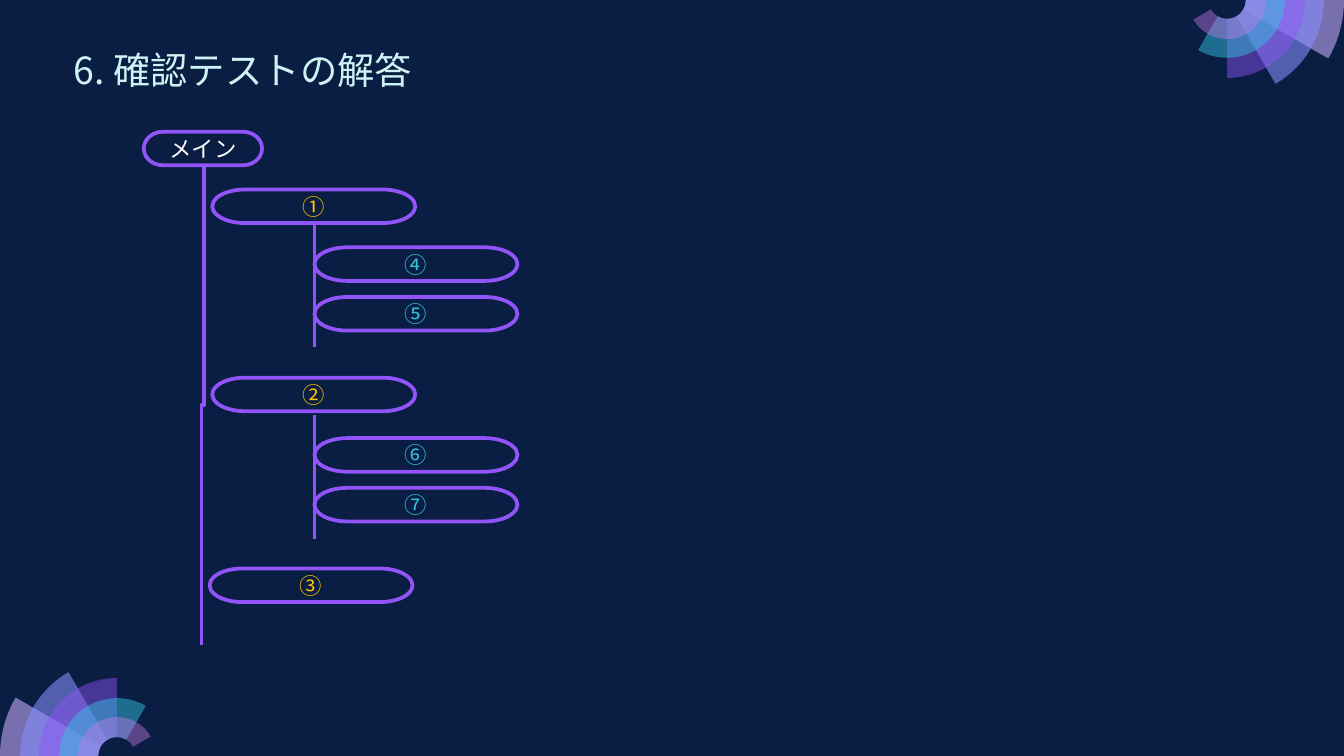
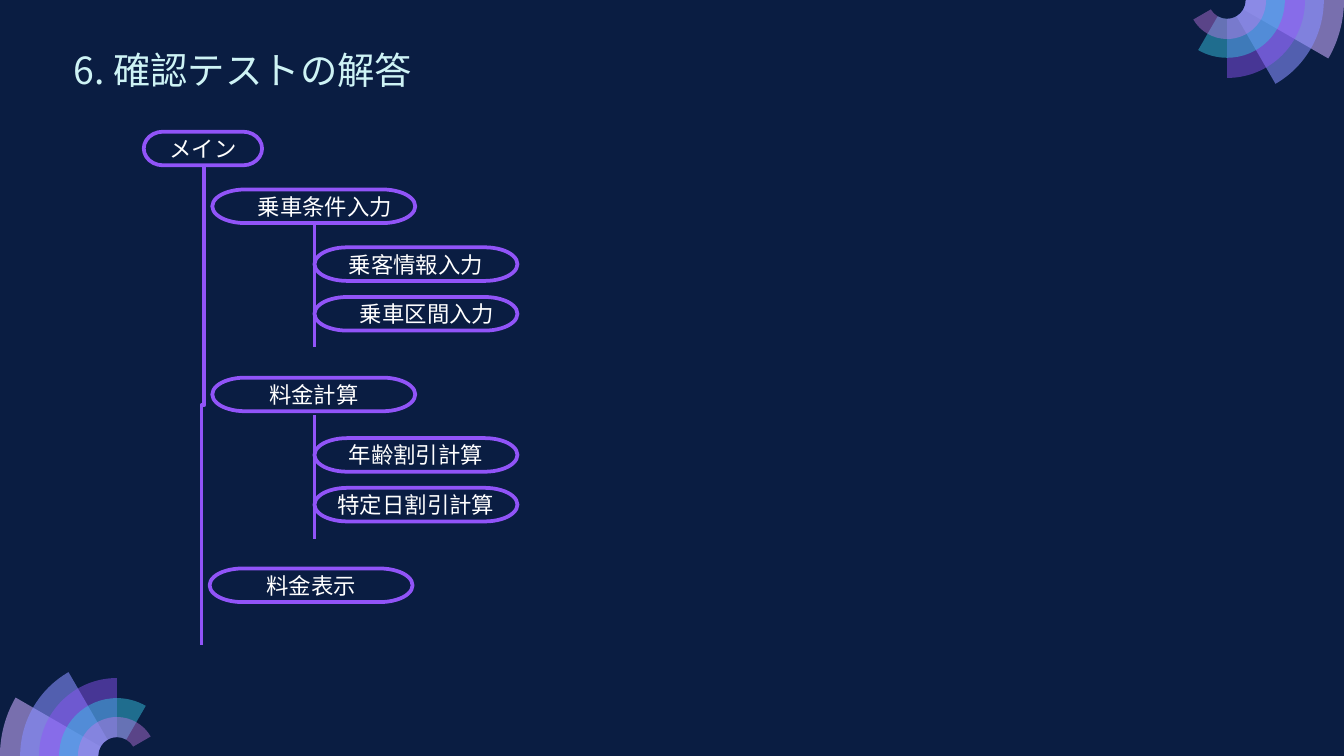
from math import cos, radians, sin, tan

from lxml import etree
from pptx import Presentation
from pptx.dml.color import RGBColor
from pptx.enum.shapes import MSO_CONNECTOR, MSO_SHAPE
from pptx.enum.text import MSO_ANCHOR, MSO_AUTO_SIZE, PP_ALIGN
from pptx.oxml.ns import qn
from pptx.util import Inches, Pt

SLIDE_WIDTH = Inches(10)
SLIDE_HEIGHT = SLIDE_WIDTH * 9 // 16
FONT = "Noto Sans CJK JP"
NAVY, PURPLE, MINT = "0A1D42", "9154F8", "CEF3F5"
WHITE, AMBER, CYAN = "FFFFFF", "FFC000", "35C2DF"

TITLE = "6. 確認テストの解答"
ROOT = "メイン"
# Each slide: step colour, sub-step colour, tree of steps and sub-steps
SLIDES = [
    (AMBER, CYAN, [("①", ["④", "⑤"]), ("②", ["⑥", "⑦"]), ("③", [])]),
    (WHITE, WHITE, [
        ("　乗車条件入力", ["乗客情報入力", "　乗車区間入力"]),
        ("料金計算", ["年齢割引計算", "特定日割引計算"]),
        ("料金表示", []),
    ]),
]

# Inches: step left and top, top of its branch line, top of its first sub-step
STEP_PLACES = [
    (1.58, 1.41, 1.66, 1.84),
    (1.58, 2.81, 3.09, 3.26),
    (1.56, 4.23, None, None),
]
BRANCH_LEFT, BRANCH_LENGTH, SUB_STEP_PITCH = 2.34, 0.92, 0.37
ROOT_WIDTH, STEP_WIDTH, PILL_HEIGHT = 0.88, 1.51, 0.25

# Fan wedges: outer radius in inches, sweep in degrees, colour, opacity in percent
FAN_CENTRE, FAN_INNER_RADIUS = 0.87, 0.14
FAN_WEDGES = [
    (0.87, 30, "C8ACFD", 58),
    (0.72, 60, "878FFF", 58),
    (0.58, 90, PURPLE, 46),
    (0.43, 120, CYAN, 49),
    (0.29, 150, "CA7BEB", 42),
]


def rgb(colour):
    return RGBColor.from_string(colour)


def add_run(paragraph, text, size, colour):
    run = paragraph.add_run()
    run.text = text
    run.font.size = Pt(size)
    run.font.color.rgb = rgb(colour)
    run.font.name = FONT
    east_asian = etree.SubElement(run._r.get_or_add_rPr(), qn("a:ea"))
    east_asian.set("typeface", FONT)


def fan_point(radius, angle, pull=0):
    """Point of the fan, angle clockwise from the left, moved along its tangent by pull."""
    turn = radians(angle)
    return (Inches(FAN_CENTRE + radius * (pull * sin(turn) - cos(turn))),
            SLIDE_HEIGHT - Inches(radius * (sin(turn) + pull * cos(turn))))


def arc(radius, angles):
    """End points of the arc's curves, each with its two control points."""
    nodes = [(fan_point(radius, angles[0]), [])]
    for start, stop in zip(angles, angles[1:]):
        pull = 4 / 3 * tan(radians(stop - start) / 4)
        controls = [fan_point(radius, start, pull), fan_point(radius, stop, -pull)]
        nodes.append((fan_point(radius, stop), controls))
    return nodes


def bend_segments(shape, nodes):
    """Turn the straight segments that have control points into curves."""
    segments = list(shape.element.iter(qn("a:lnTo")))
    for segment, (_, controls) in zip(segments, nodes[1:]):
        if controls:
            segment.tag = qn("a:cubicBezTo")
        for index, (x, y) in enumerate(controls):
            control = etree.Element(qn("a:pt"), x=str(x - shape.left), y=str(y - shape.top))
            segment.insert(index, control)


def add_fan(slide):
    """Draw the bottom left fan as a group."""
    group = slide.shapes.add_group_shape()
    for radius, sweep, colour, opacity in FAN_WEDGES:
        angles = [0, 90, sweep] if sweep > 90 else [0, sweep]
        nodes = arc(radius, angles[::-1]) + arc(FAN_INNER_RADIUS, angles)
        points = [point for point, _ in nodes]
        builder = group.shapes.build_freeform(*points[0])
        builder.add_line_segments(points[1:], close=True)
        wedge = builder.convert_to_shape()
        bend_segments(wedge, nodes)
        wedge.shadow.inherit = False
        wedge.line.fill.background()
        wedge.fill.solid()
        wedge.fill.fore_color.rgb = rgb(colour)
        colour_element = next(wedge.element.spPr.iter(qn("a:srgbClr")))
        alpha = etree.SubElement(colour_element, qn("a:alpha"))
        alpha.set("val", str(opacity * 1000))
    return group


def decorate_layout(layout, slide):
    """Give the layout its background and fans, which are drawn on a slide and moved."""
    layout.background.fill.solid()
    layout.background.fill.fore_color.rgb = rgb(NAVY)
    bottom_fan, top_fan = add_fan(slide), add_fan(slide)
    top_fan.left = SLIDE_WIDTH - top_fan.left - top_fan.width
    top_fan.top = SLIDE_HEIGHT - top_fan.top - top_fan.height
    top_fan.rotation = 180
    for fan in (bottom_fan, top_fan):
        layout.shapes.element.append(fan.element)


def add_title(slide):
    box = slide.shapes.add_textbox(Inches(0.45), Inches(0.3), Inches(2.85), Inches(0.44))
    box.text_frame.word_wrap = True
    box.text_frame.auto_size = MSO_AUTO_SIZE.SHAPE_TO_FIT_TEXT
    add_run(box.text_frame.paragraphs[0], TITLE, 20, MINT)


def add_pill(slide, text, left, top, width, colour):
    pill = slide.shapes.add_shape(
        MSO_SHAPE.FLOWCHART_TERMINATOR,
        Inches(left), Inches(top), Inches(width), Inches(PILL_HEIGHT))
    pill.shadow.inherit = False
    pill.fill.background()
    pill.line.color.rgb = rgb(PURPLE)
    pill.line.width = Pt(2)
    frame = pill.text_frame
    frame.word_wrap = False
    frame.vertical_anchor = MSO_ANCHOR.MIDDLE
    frame.paragraphs[0].alignment = PP_ALIGN.CENTER
    add_run(frame.paragraphs[0], text, 12, colour)


def add_descender(slide, start_x, start_y, end_x, end_y):
    """Draw an elbow that runs down, left and down: a level elbow turned by 90 degrees."""
    length, jog = end_y - start_y, start_x - end_x
    connector = slide.shapes.add_connector(MSO_CONNECTOR.ELBOW, 0, 0, 0, 0)
    connector.left = Inches((start_x + end_x - length) / 2)
    connector.top = Inches((start_y + end_y - jog) / 2)
    connector.width, connector.height = Inches(length), Inches(jog)
    connector.rotation = 90
    connector.line.color.rgb = rgb(PURPLE)
    connector.line.width = Pt(2)
    etree.SubElement(connector.element.spPr, qn("a:effectLst"))


def add_tree(slide, step_colour, sub_step_colour, steps):
    add_pill(slide, ROOT, 1.07, 0.98, ROOT_WIDTH, WHITE)
    add_descender(slide, 1.52, 1.23, 1.5, 4.8)
    for (step, sub_steps), place in zip(steps, STEP_PLACES):
        left, top, branch_top, sub_step_top = place
        add_pill(slide, step, left, top, STEP_WIDTH, step_colour)
        if sub_steps:
            add_descender(slide, BRANCH_LEFT, branch_top,
                          BRANCH_LEFT, branch_top + BRANCH_LENGTH)
        for index, sub_step in enumerate(sub_steps):
            add_pill(slide, sub_step, BRANCH_LEFT, sub_step_top + index * SUB_STEP_PITCH,
                     STEP_WIDTH, sub_step_colour)


def main():
    presentation = Presentation()
    presentation.slide_width, presentation.slide_height = SLIDE_WIDTH, SLIDE_HEIGHT
    layout = presentation.slide_layouts[6]
    slides = [presentation.slides.add_slide(layout) for _ in SLIDES]
    decorate_layout(layout, slides[0])
    for slide, tree in zip(slides, SLIDES):
        add_title(slide)
        add_tree(slide, *tree)
    presentation.save("out.pptx")


if __name__ == "__main__":
    main()
